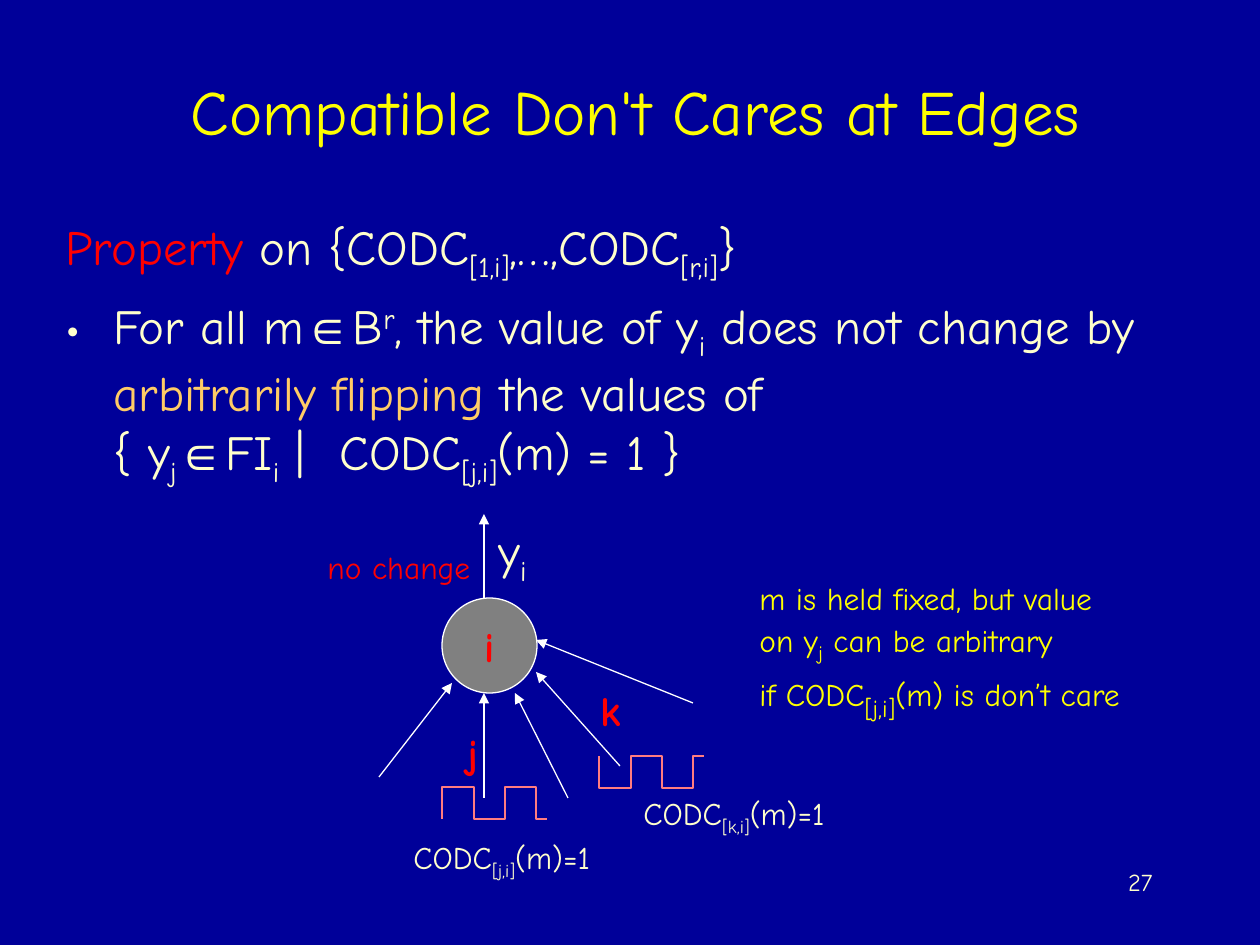
"""Build the slide on compatible don't cares at the edges of a logic node."""
from lxml import etree
from pptx import Presentation, util as u
from pptx.dml.color import RGBColor
from pptx.enum import shapes, text
from pptx.oxml.ns import qn

PX = u.Inches(1) / 126
FONT = "Comic Neue"
NAVY = RGBColor(0x00, 0x00, 0x99)
YELLOW = RGBColor(0xFF, 0xFF, 0x00)
CREAM = RGBColor(0xFF, 0xFF, 0xCC)
RED = RGBColor(0xFF, 0x00, 0x00)
ORANGE = RGBColor(0xFF, 0xCC, 0x66)
GREY = RGBColor(0x80, 0x80, 0x80)
WHITE = RGBColor(0xFF, 0xFF, 0xFF)
CORAL = RGBColor(0xFF, 0x7C, 0x80)
SUB, SUPER = -25000, 30000


def px(*lengths):
    return [round(length * PX) for length in lengths]


def write(paragraph, size, color, parts, bold=False):
    for part in parts:
        content, style = part if isinstance(part, tuple) else (part, {})
        run = paragraph.add_run()
        run.text = content
        run.font.size = u.Pt(style.get("size", size))
        run.font.name = style.get("font", FONT)
        run.font.color.rgb = style.get("color", color)
        if bold:
            run.font.bold = True
        for attribute in ("baseline", "spc"):
            if attribute in style:
                run.font._element.set(attribute, str(style[attribute]))


prs = Presentation()
prs.slide_width, prs.slide_height = px(1260, 945)
slide = prs.slides.add_slide(prs.slide_layouts[5])
slide.background.fill.solid()
slide.background.fill.fore_color.rgb = NAVY

title = slide.shapes.title
title.left, title.top, title.width, title.height = px(53, 32, 1165, 157)
title.text_frame.vertical_anchor = text.MSO_ANCHOR.MIDDLE
heading = title.text_frame.paragraphs[0]
heading.alignment = text.PP_ALIGN.CENTER
write(heading, 36, YELLOW, ["Compatible Don't Cares at Edges"])

sub = {"baseline": SUB}
member = ("∈", {"font": "Arial"})
body = slide.shapes.add_textbox(*px(53, 210, 1165, 662)).text_frame
body.word_wrap = True
statement = body.paragraphs[0]
write(statement, 28, CREAM, [
    ("Property", {"color": RED}), " on {CODC", ("[1,i]", sub),
    ",…,CODC", ("[r,i]", sub), "}"])

condition = body.add_paragraph()
condition.space_before = u.Pt(7)
props = condition._p.get_or_add_pPr()
bullet_color = etree.SubElement(props, qn("a:buClr"))
etree.SubElement(bullet_color, qn("a:srgbClr")).set("val", str(CREAM))
etree.SubElement(props, qn("a:buFont")).set("typeface", FONT)
etree.SubElement(props, qn("a:buChar")).set("char", "•")
write(condition, 28, CREAM, [
    "For all m", member, "B", ("r", {"baseline": SUPER}), ", the value of y",
    ("i", sub), " does not change by ",
    ("arbitrarily flipping", {"color": ORANGE}), " the values of"])
condition.add_line_break()
write(condition, 28, CREAM, [
    "{ y", ("j", sub), member, "FI", ("i", sub), " |", (" ", {"spc": 1000}),
    "CODC", ("[j,i]", sub), "(m) = 1 }"])
indent = px(48)[0]
for paragraph in body.paragraphs:
    paragraph._p.get_or_add_pPr().set("marL", str(indent))
    paragraph._p.get_or_add_pPr().set("indent", str(-indent))

node = slide.shapes.add_shape(shapes.MSO_SHAPE.OVAL, *px(442, 598, 95, 95))
node.shadow.inherit = False
node.fill.solid()
node.fill.fore_color.rgb = GREY
node.line.color.rgb = WHITE
node.line.width = u.Pt(0.75)
node.text_frame.word_wrap = False
node.text_frame.vertical_anchor = text.MSO_ANCHOR.MIDDLE
node.text_frame.paragraphs[0].alignment = text.PP_ALIGN.CENTER
write(node.text_frame.paragraphs[0], 24, RED, ["i"], bold=True)

for edge in [
    (379, 777, 452, 683),
    (484, 798, 484, 693),
    (568, 798, 515, 693),
    (620, 766, 536, 672),
    (693, 703, 536, 640),
    (484, 598, 484, 514),
]:
    arrow = slide.shapes.add_connector(shapes.MSO_CONNECTOR.STRAIGHT, *px(*edge))
    arrow.line.color.rgb = WHITE
    arrow.line.width = u.Pt(0.75)
    etree.SubElement(arrow.line._get_or_add_ln(), qn("a:tailEnd")).set("type", "triangle")
    etree.SubElement(arrow._element.spPr, qn("a:effectLst"))

for left, before, after in [(442, 819, 787), (599, 756, 788)]:
    points = []
    for step in range(4):
        level = (after, before)[step % 2]
        points += [(left + min(round(31.5 * k), 105), level) for k in (step, step + 1)]
    builder = slide.shapes.build_freeform(left, before, scale=PX)
    builder.add_line_segments(points, close=False)
    waveform = builder.convert_to_shape()
    waveform.shadow.inherit = False
    waveform.fill.background()
    waveform.line.color.rgb = CORAL
    waveform.line.width = u.Pt(0.75)

for place, size, color, bold, lines in [
    ((401, 832, 202, 55), 18, CREAM, False, [["CODC", ("[j,i]", sub), "(m)=1"]]),
    ((631, 788, 207, 55), 18, CREAM, False, [["CODC", ("[k,i]", sub), "(m)=1"]]),
    ((455, 721, 35, 63), 24, RED, True, [["j"]]),
    ((588, 678, 45, 63), 24, RED, True, [["k"]]),
    ((486, 514, 60, 79), 28, CREAM, False, [["y", ("i", sub)]]),
    ((315, 542, 168, 50), 18, RED, False, [["no change"]]),
    ((747, 573, 386, 156), 18, YELLOW, False, [
        ["m is held fixed, but value"],
        ["on y", ("j", {"size": 20, "baseline": SUB}), " can be arbitrary"],
        ["if CODC", ("[j,i]", {"size": 24, "baseline": SUB}), "(m) is don’t care"]]),
]:
    label = slide.shapes.add_textbox(*px(*place)).text_frame
    label.word_wrap = False
    label.auto_size = text.MSO_AUTO_SIZE.SHAPE_TO_FIT_TEXT
    for index, parts in enumerate(lines):
        paragraph = label.add_paragraph() if index else label.paragraphs[0]
        write(paragraph, size, color, parts, bold)

page_number = slide.shapes.add_textbox(*px(903, 861, 262, 63)).text_frame
page_number.word_wrap = True
page_number.paragraphs[0].alignment = text.PP_ALIGN.RIGHT
write(page_number.paragraphs[0], 14, CREAM, ["27"])

prs.save("out.pptx")
